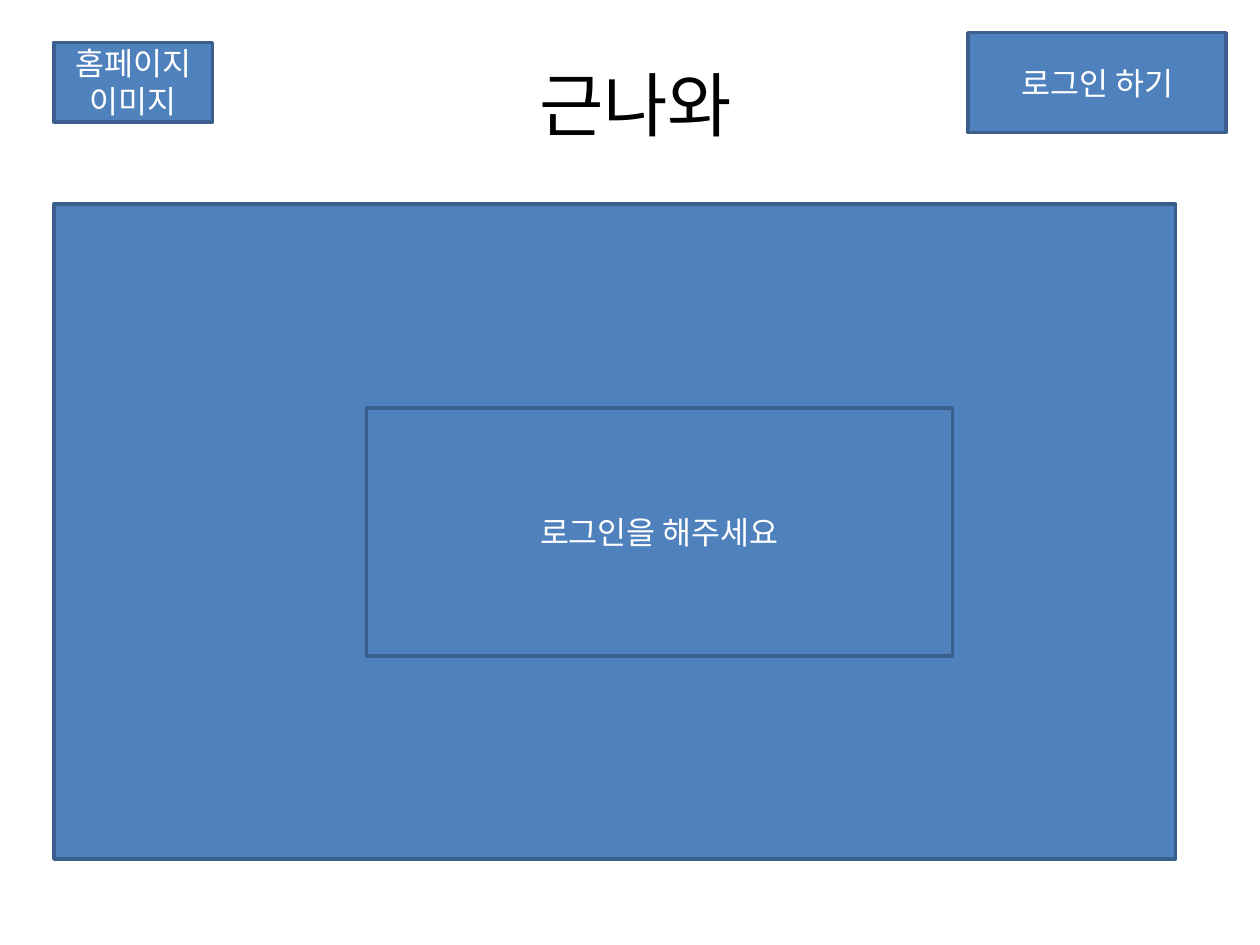
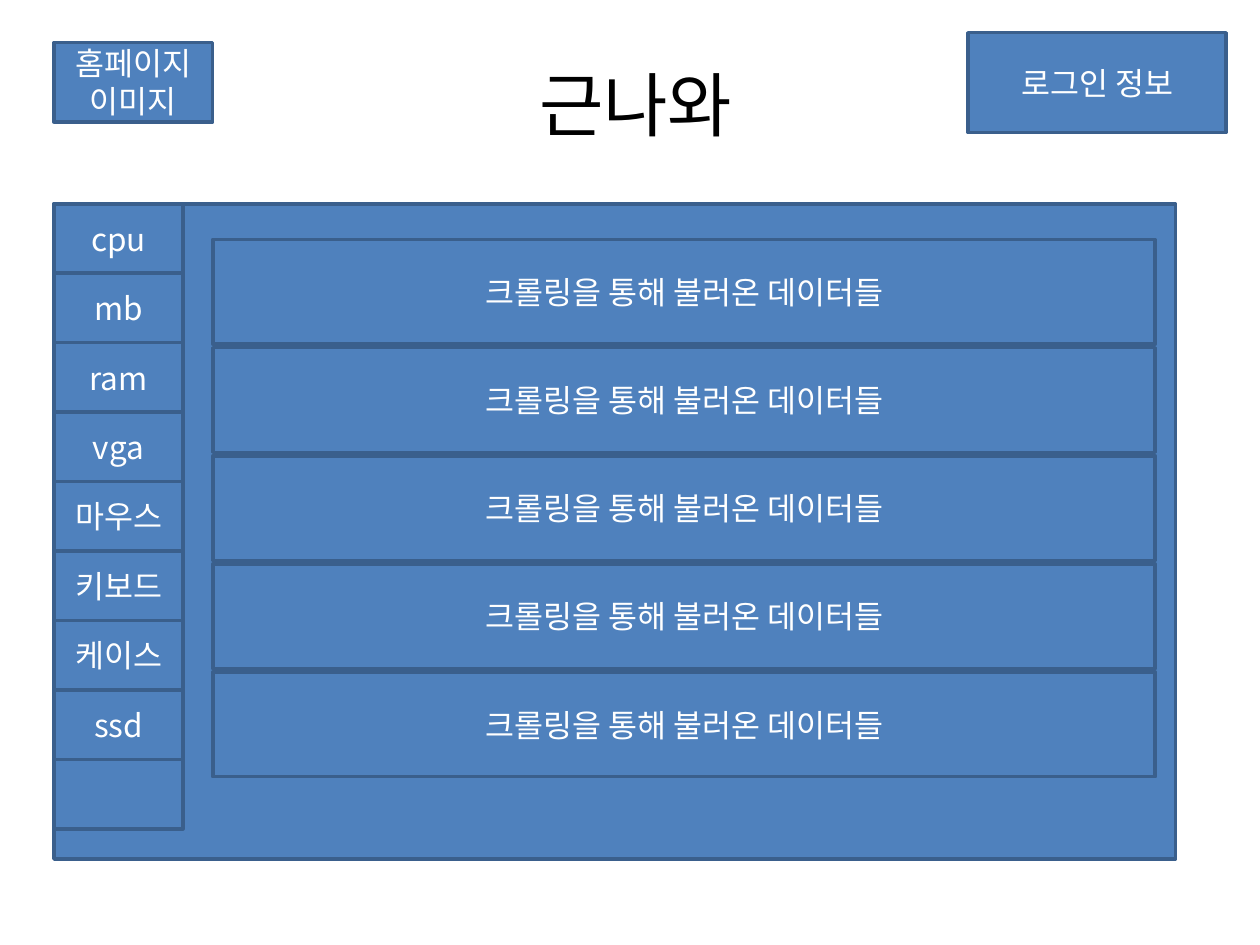
from pptx import Presentation, util as u
from pptx.dml import color
from pptx.enum import shapes, text
from pptx.oxml import ns
from lxml import etree

COLORS = {"fill": "4F81BD", "line": "3A5F8C", "label": "FFFFFF", "title": "000000"}
FONT = "Noto Sans CJK KR"
LEFT = 1.09
PANEL_TOP = 4.11


def format_text(shape, size, color_name, alignment, anchor):
    frame = shape.text_frame
    frame.word_wrap = True
    frame.vertical_anchor = anchor
    for paragraph in frame.paragraphs:
        paragraph.alignment = alignment
        for run in paragraph.runs:
            run.font.size = u.Pt(size)
            run.font.name = FONT
            run.font.color.rgb = color.RGBColor.from_string(COLORS[color_name])
            # Hangul takes its font from the East Asian slot
            east_asian = etree.SubElement(run.font._element, ns.qn("a:ea"))
            east_asian.set("typeface", FONT)


def add_box(slide, left, top, width, height, label=""):
    box = slide.shapes.add_shape(shapes.MSO_SHAPE.RECTANGLE,
                                 u.Cm(left), u.Cm(top), u.Cm(width), u.Cm(height))
    box.shadow.inherit = False
    box.fill.solid()
    box.fill.fore_color.rgb = color.RGBColor.from_string(COLORS["fill"])
    box.line.color.rgb = color.RGBColor.from_string(COLORS["line"])
    box.line.width = u.Pt(2)
    if label:
        box.text_frame.text = label
        format_text(box, 18, "label", text.PP_ALIGN.CENTER, text.MSO_ANCHOR.MIDDLE)


presentation = Presentation()
presentation.slide_width = u.Cm(25.4)
presentation.slide_height = u.Cm(19.05)
title_only = presentation.slide_layouts[5]

# Shared page frame: title, home image, login button, main panel
pages = []
for login_label in ("로그인 하기", "로그인 정보"):
    slide = presentation.slides.add_slide(title_only)
    title = slide.shapes.title
    title.left, title.top = u.Cm(10.62), u.Cm(1.12)
    title.width, title.height = u.Cm(7.11), u.Cm(1.96)
    title.text_frame.text = "근나와"
    title.text_frame.auto_size = text.MSO_AUTO_SIZE.SHAPE_TO_FIT_TEXT
    format_text(title, 40, "title", text.PP_ALIGN.LEFT, text.MSO_ANCHOR.TOP)

    add_box(slide, LEFT, 0.86, 3.2, 1.6, "홈페이지이미지")
    add_box(slide, 19.51, 0.66, 5.21, 2.01, login_label)
    add_box(slide, LEFT, PANEL_TOP, 22.61, 13.21)
    pages.append(slide)

login_page, data_page = pages

# Login page: prompt
add_box(login_page, 7.39, 8.23, 11.81, 5, "로그인을 해주세요")

# Data page: category menu, the last cell left blank
categories = ["cpu", "mb", "ram", "vga", "마우스", "키보드", "케이스", "ssd", ""]
for row, category in enumerate(categories):
    add_box(data_page, LEFT, PANEL_TOP + row * 1.4, 2.6, 1.4, category)

# Data page: crawled data rows
for row in range(5):
    add_box(data_page, 4.29, 4.83 + row * 2.18, 19, 2.11, "크롤링을 통해 불러온 데이터들")

presentation.save("out.pptx")
